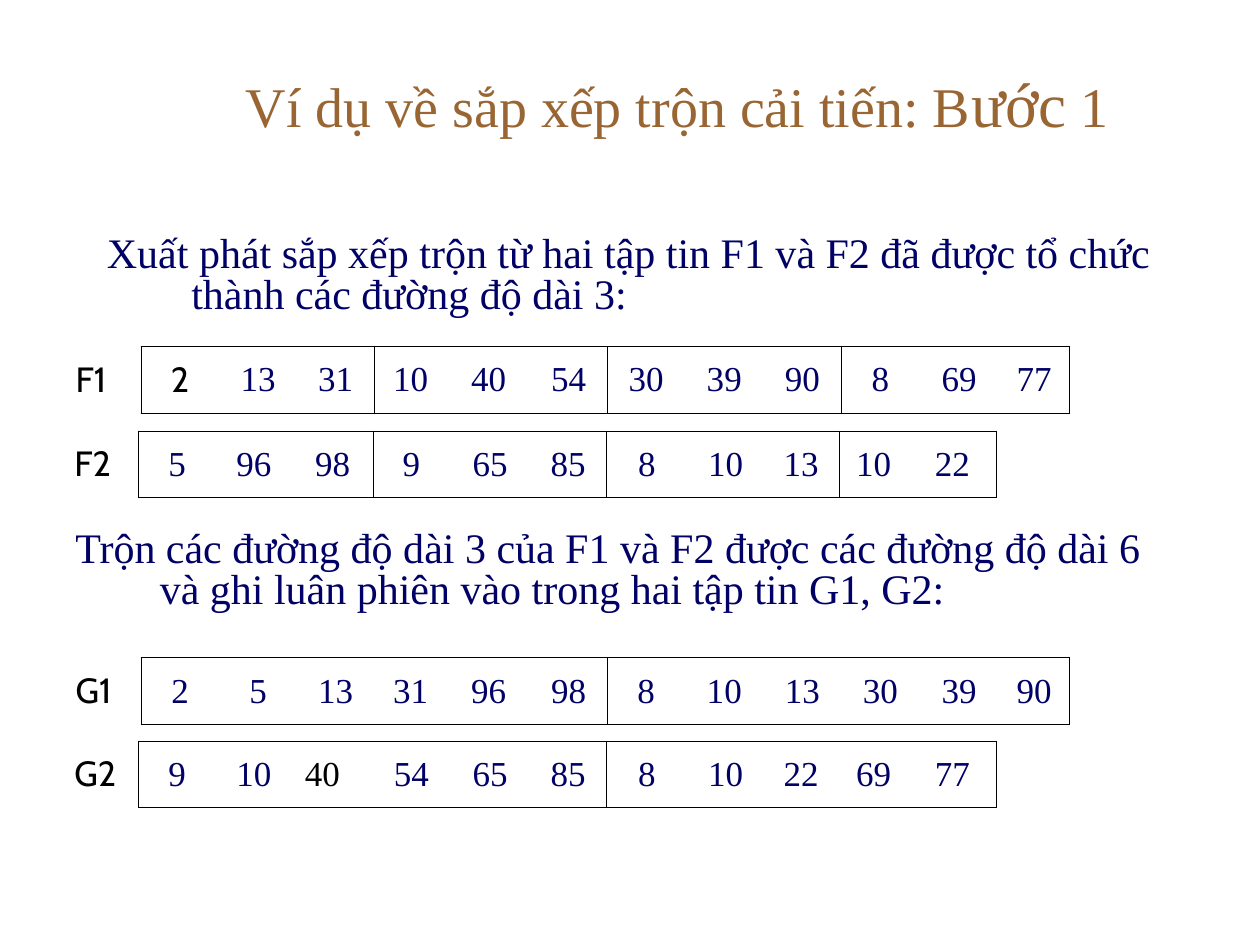
from lxml.etree import SubElement
from pptx import Presentation
from pptx.dml.color import RGBColor
from pptx.enum.text import MSO_ANCHOR, PP_ALIGN
from pptx.oxml.ns import qn
from pptx.util import Inches, Pt

BROWN = RGBColor(0x99, 0x66, 0x33)
NAVY = RGBColor(0x00, 0x00, 0x66)
BLACK = RGBColor(0x00, 0x00, 0x00)
SERIF, SANS = "Times New Roman", "Cabin"
NO_GRID_STYLE = "{2D5ABB26-0587-4C30-8999-92F81FD0307C}"

LONG_COLUMNS = [0.62, 0.62, 0.62, 0.61, 0.58, 0.66, 0.61, 0.62, 0.62, 0.62, 0.62, 0.63, 0.56]
SHORT_COLUMNS = [0.61, 0.61, 0.61, 0.64, 0.61, 0.64, 0.6, 0.65, 0.6, 0.6, 0.55, 0.7]
ROW_HEIGHT = 0.53

# Name, left, top, column widths, sorted runs
FILES = [
    ("F1", 0.5, 2.75, LONG_COLUMNS, [[2, 13, 31], [10, 40, 54], [30, 39, 90], [8, 69, 77]]),
    ("F2", 0.49, 3.42, SHORT_COLUMNS, [[5, 96, 98], [9, 65, 85], [8, 10, 13], [10, 22]]),
    ("G1", 0.5, 5.22, LONG_COLUMNS, [[2, 5, 13, 31, 96, 98], [8, 10, 13, 30, 39, 90]]),
    ("G2", 0.49, 5.88, SHORT_COLUMNS, [[9, 10, 40, 54, 65, 85], [8, 10, 22, 69, 77]]),
]
PARAGRAPHS = [
    (0.75, 1.83, 8.75, 0.9,
     "Xuất phát sắp xếp trộn từ hai tập tin F1 và F2 đã được tổ chức thành các đường độ dài 3:"),
    (0.5, 4.17, 9, 0.92,
     "Trộn các đường độ dài 3 của F1 và F2 được các đường độ dài 6 "
     "và ghi luân phiên vào trong hai tập tin G1, G2:"),
]


def fill_cell(cell, text, alignment, font_name, color):
    cell.vertical_anchor = MSO_ANCHOR.MIDDLE
    cell.text = text
    paragraph = cell.text_frame.paragraphs[0]
    paragraph.alignment = alignment
    paragraph.font.size = Pt(20)
    paragraph.font.name = font_name
    paragraph.font.color.rgb = color


def set_borders(cell, sides):
    """Draw a thin black line on each side named in sides, in the order L, R, T, B."""
    properties = cell._tc.get_or_add_tcPr()
    for side in "LRTB":
        visible = side in sides
        line = SubElement(properties, qn(f"a:ln{side}"), w=str(Pt(0.45) if visible else 0))
        if visible:
            solid = SubElement(line, qn("a:solidFill"))
            SubElement(solid, qn("a:srgbClr"), val=str(BLACK))
        else:
            SubElement(line, qn("a:noFill"))
    cell.fill.background()


presentation = Presentation()
presentation.slide_width = Inches(10)
presentation.slide_height = Inches(7.5)
slide = presentation.slides.add_slide(presentation.slide_layouts[5])

title = slide.shapes.title
title.left, title.top = Inches(1.25), Inches(0.3)
title.width, title.height = Inches(8.25), Inches(1.03)
title.text_frame.vertical_anchor = MSO_ANCHOR.MIDDLE
paragraph = title.text_frame.paragraphs[0]
paragraph.alignment = PP_ALIGN.CENTER
paragraph.font.name = SERIF
paragraph.font.color.rgb = BROWN
for text, size in [("Ví dụ về sắp xếp trộn cải tiến: B", 32), ("ước", 36), (" 1", 32)]:
    run = paragraph.add_run()
    run.text = text
    run.font.size = Pt(size)

for left, top, width, height, text in PARAGRAPHS:
    box = slide.shapes.add_textbox(Inches(left), Inches(top), Inches(width), Inches(height))
    box.text_frame.word_wrap = True
    paragraph = box.text_frame.paragraphs[0]
    paragraph.text = text
    paragraph.line_spacing = 0.8
    indent = Inches(0.67)
    paragraph_properties = paragraph._p.get_or_add_pPr()
    paragraph_properties.set("marL", str(indent))
    paragraph_properties.set("indent", str(-indent))
    paragraph.font.size = Pt(24)
    paragraph.font.name = SERIF
    paragraph.font.color.rgb = NAVY

for name, left, top, widths, sorted_runs in FILES:
    frame = slide.shapes.add_table(1, len(widths), Inches(left), Inches(top),
                                   Inches(sum(widths)), Inches(ROW_HEIGHT))
    table = frame.table
    table.first_row = table.horz_banding = False
    table._tbl.tblPr.find(qn("a:tableStyleId")).text = NO_GRID_STYLE
    for column, width in zip(table.columns, widths):
        column.width = Inches(width)

    label = table.cell(0, 0)
    fill_cell(label, name, PP_ALIGN.JUSTIFY, SANS, BLACK)
    set_borders(label, "R")
    column_index = 1
    for sorted_run in sorted_runs:
        for position, value in enumerate(sorted_run):
            cell = table.cell(0, column_index)
            fill_cell(cell, str(value), PP_ALIGN.CENTER, SERIF, NAVY)
            first, last = position == 0, position == len(sorted_run) - 1
            set_borders(cell, "TB" + "L" * first + "R" * last)
            column_index += 1

    # Two values stand apart from the rest
    if name == "F1":
        fill_cell(table.cell(0, 1), "2", PP_ALIGN.CENTER, SANS, BLACK)
    elif name == "G2":
        fill_cell(table.cell(0, 3), "40", PP_ALIGN.LEFT, SERIF, BLACK)

presentation.save("out.pptx")
